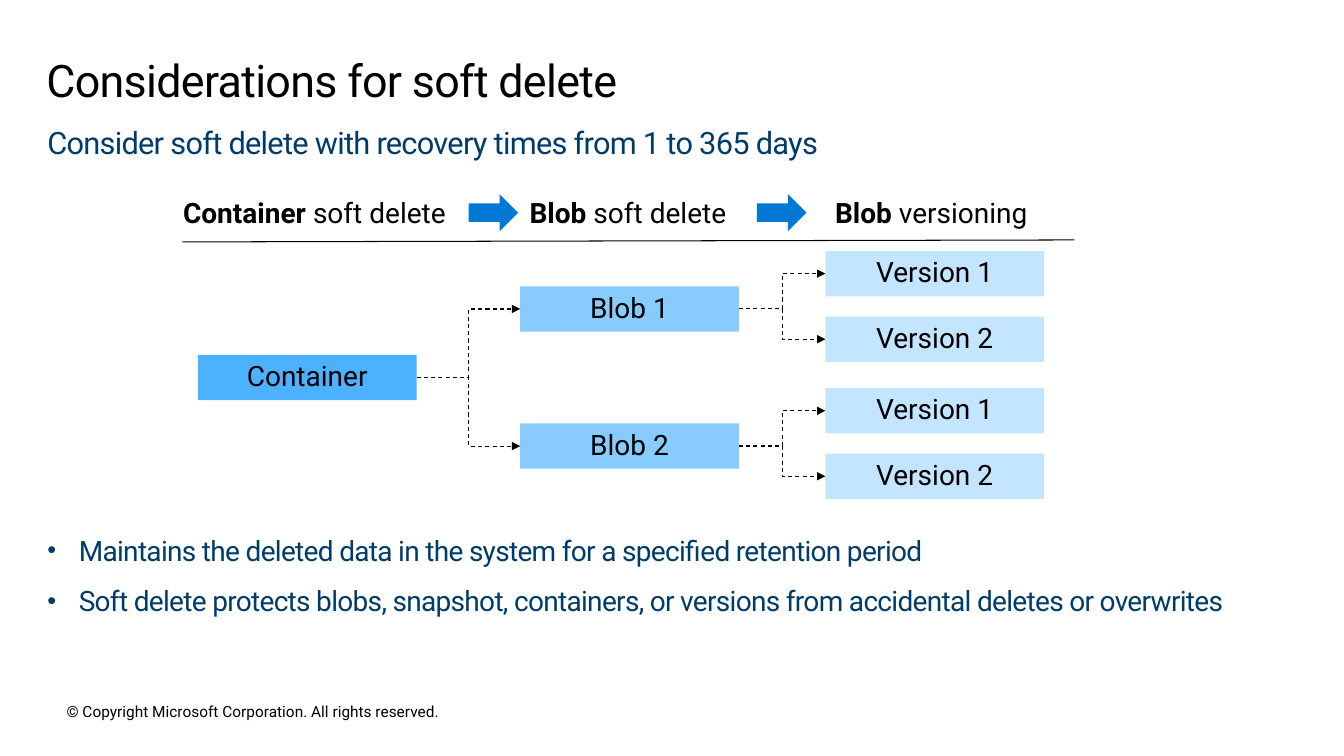
from lxml import etree
from pptx import Presentation
from pptx.dml.color import RGBColor
from pptx.enum.dml import MSO_LINE
from pptx.enum.shapes import MSO_CONNECTOR, MSO_SHAPE
from pptx.enum.text import MSO_ANCHOR, PP_ALIGN
from pptx.oxml.ns import qn
from pptx.util import Pt

BLACK = RGBColor(0x00, 0x00, 0x00)
NAVY = RGBColor(0x00, 0x3C, 0x6A)
ARROW_BLUE = RGBColor(0x00, 0x78, 0xD4)
CONTAINER_BLUE = RGBColor(0x4C, 0xB1, 0xFF)
BLOB_BLUE = RGBColor(0x88, 0xCB, 0xFF)
VERSION_BLUE = RGBColor(0xC3, 0xE5, 0xFF)
RECT, RIGHT_ARROW = MSO_SHAPE.RECTANGLE, MSO_SHAPE.RIGHT_ARROW
STRAIGHT, ELBOW = MSO_CONNECTOR.STRAIGHT, MSO_CONNECTOR.ELBOW
DASH = MSO_LINE.DASH
MIDDLE, TOP = MSO_ANCHOR.MIDDLE, MSO_ANCHOR.TOP
CENTER = PP_ALIGN.CENTER
RIGHT_SIDE, LEFT_SIDE = 3, 1


class SlideBuilder:
    font_name = "Roboto"

    def __init__(self, prs):
        self.s = prs.slides.add_slide(prs.slide_layouts[6])

    def frame(self, tf, insets, anchor=TOP, wrap=True):
        left, top, right, bottom = map(Pt, insets)
        fmt = {"margin_left": left, "margin_top": top, "margin_right": right,
               "margin_bottom": bottom, "vertical_anchor": anchor, "word_wrap": wrap}
        for name, value in fmt.items():
            setattr(tf, name, value)

    def paragraph(self, p, runs, size, color=BLACK, spacing=0, **fmt):
        """Fill a paragraph with (text, bold) runs."""
        for name, value in fmt.items():
            setattr(p, name, value)
        for text, bold in runs:
            r = p.add_run()
            r.text = text
            for name, value in {"name": self.font_name, "size": Pt(size), "bold": bold}.items():
                setattr(r.font, name, value)
            r.font.color.rgb = color
            if spacing:
                r._r.get_or_add_rPr().set("spc", str(spacing))

    def text(self, box, runs, size, insets=(7.2, 3.6, 7.2, 3.6), wrap=True, **fmt):
        tf = self.s.shapes.add_textbox(*map(Pt, box)).text_frame
        self.frame(tf, insets, wrap=wrap)
        self.paragraph(tf.paragraphs[0], runs, size, **fmt)

    def bullets(self, box, lines, size, insets, indent, **fmt):
        tf = self.s.shapes.add_textbox(*map(Pt, box)).text_frame
        self.frame(tf, insets)
        for i, line in enumerate(lines):
            p = tf.add_paragraph() if i else tf.paragraphs[0]
            pPr = p._p.get_or_add_pPr()
            pPr.set("marL", str(Pt(indent)))
            pPr.set("indent", str(-Pt(indent)))
            etree.SubElement(pPr, qn("a:buSzPct")).set("val", "90000")
            etree.SubElement(pPr, qn("a:buFont")).set("typeface", "Arial")
            etree.SubElement(pPr, qn("a:buChar")).set("char", "•")
            self.paragraph(p, [(line, False)], size, **fmt)

    def shape(self, kind, box, fill):
        sp = self.s.shapes.add_shape(kind, *map(Pt, box))
        sp.shadow.inherit = False
        sp.fill.solid()
        sp.fill.fore_color.rgb = fill
        sp.line.fill.background()
        return sp

    def node(self, label, left, top, fill):
        sp = self.shape(RECT, (left, top, NODE_W, NODE_H), fill)
        self.frame(sp.text_frame, (14.4, 11.5, 14.4, 11.5), MIDDLE)
        self.paragraph(sp.text_frame.paragraphs[0], [(label, False)], 20,
                       alignment=CENTER, line_spacing=0.9)
        return sp

    def line(self, kind, ends=(0, 0, 0, 0)):
        c = self.s.shapes.add_connector(kind, *map(Pt, ends))
        etree.SubElement(c._element.spPr, qn("a:effectLst"))
        c.line.color.rgb = BLACK
        c.line.width = Pt(0.75)
        return c

    def link(self, parent, child):
        c = self.line(ELBOW)
        c.begin_connect(parent, RIGHT_SIDE)
        c.end_connect(child, LEFT_SIDE)
        c.line.dash_style = DASH
        etree.SubElement(c.line._get_or_add_ln(), qn("a:tailEnd")).set("type", "triangle")


# Diagram grid
NODE_W, NODE_H = 156.2, 32.4
CONTAINER_X, BLOB_X, VERSION_X = 141.4, 371.6, 589.6
BLOB_TOPS = (204.5, 302.4)
VERSION_OFFSETS = (-25.2, 21.6)

prs = Presentation()
prs.slide_width, prs.slide_height = Pt(960), Pt(540)
b = SlideBuilder(prs)

# Title, subtitle and footer
b.text((33.1, 34.6, 893, 50.4), [("Considerations for soft delete", False)], 32,
       (0, 7.2, 11.5, 7.2), spacing=-50, line_spacing=0.9)
b.text((33.8, 85, 893, 33.8),
       [("Consider soft delete with recovery times from 1 to 365 days", False)], 22,
       (0, 3.6, 0, 3.6), color=NAVY, spacing=-50)
b.text((33.1, 496.8, 298.8, 35.3),
       [("© Copyright Microsoft Corporation. All rights reserved.", False)], 11,
       (14.4, 11.5, 14.4, 11.5), wrap=False, line_spacing=0.9, space_after=Pt(6))

# Column headings, arrows and rule
for left, width, bold_part, rest in ((114.5, 220.3, "Container", " soft delete"),
                                     (346.3, 204.5, "Blob", " soft delete"),
                                     (563, 204.5, "Blob", " versioning")):
    b.text((left, 136.1, width, 31.7), [(bold_part, True), (rest, False)], 20, alignment=CENTER)
for left in (334.8, 540.7):
    b.shape(RIGHT_ARROW, (left, 138.6, 35.3, 26.6), ARROW_BLUE)
b.line(STRAIGHT, (130.3, 172.8, 767.5, 171.4))

# Container, blobs and versions
container = b.node("Container", CONTAINER_X, sum(BLOB_TOPS) / 2, CONTAINER_BLUE)
for i, blob_top in enumerate(BLOB_TOPS, 1):
    blob = b.node(f"Blob {i}", BLOB_X, blob_top, BLOB_BLUE)
    b.link(container, blob)
    for j, offset in enumerate(VERSION_OFFSETS, 1):
        b.link(blob, b.node(f"Version {j}", VERSION_X, blob_top + offset, VERSION_BLUE))

# Key points
b.bullets((33.8, 377.3, 859.7, 74.9),
          ("Maintains the deleted data in the system for a specified retention period",
           "Soft delete protects blobs, snapshot, containers, or versions from accidental "
           "deletes or overwrites"),
          20, (0, 3.6, 0, 3.6), 22.5, color=NAVY, spacing=-50, space_after=Pt(12))

prs.save("out.pptx")
